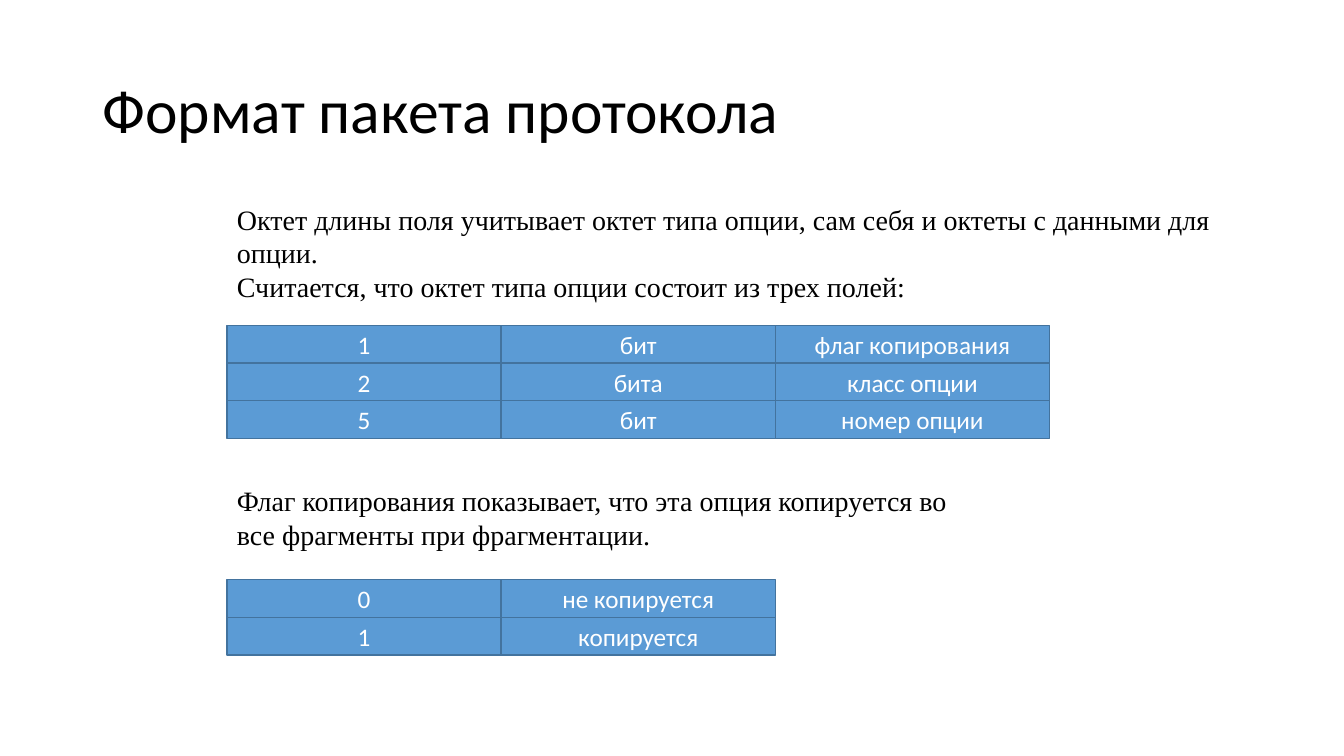
from pptx import Presentation
from pptx.dml.color import RGBColor
from pptx.enum.shapes import MSO_SHAPE as Shape
from pptx.enum.text import MSO_ANCHOR as Anchor, PP_ALIGN as Align
from pptx.util import Cm, Pt

BLACK = RGBColor(0x00, 0x00, 0x00)
WHITE = RGBColor(0xFF, 0xFF, 0xFF)
CELL_FILL = RGBColor(0x5B, 0x9B, 0xD5)
CELL_LINE = RGBColor(0x43, 0x73, 0x9E)

TITLE = "Формат пакета протокола"
LENGTH_NOTES = [
    "Октет длины поля учитывает октет типа опции, сам себя и октеты с данными для опции.",
    "Считается, что октет типа опции состоит из трех полей:",
]
COPY_NOTES = [
    "Флаг копирования показывает, что эта опция копируется во все фрагменты при фрагментации.",
]
OPTION_FIELDS = [
    ["1", "бит", "флаг копирования"],
    ["2", "бита", "класс опции"],
    ["5", "бит", "номер опции"],
]
COPY_VALUES = [
    ["0", "не копируется"],
    ["1", "копируется"],
]


def add_run(paragraph, text, size, font_name, color):
    """Append one formatted run to a paragraph."""
    run = paragraph.add_run()
    run.text = text
    run.font.size = Pt(size)
    run.font.name = font_name
    run.font.color.rgb = color


def add_text(slide, box, lines, size, font_name, anchor=Anchor.TOP):
    """Place a wrapped text box with one paragraph per line and return its frame."""
    frame = slide.shapes.add_textbox(*box).text_frame
    frame.word_wrap = True
    frame.vertical_anchor = anchor
    for index, line in enumerate(lines):
        paragraph = frame.paragraphs[0] if index == 0 else frame.add_paragraph()
        add_run(paragraph, line, size, font_name, BLACK)
    return frame


def add_title(slide, box):
    """Place the slide title in the given box."""
    frame = add_text(slide, box, [TITLE], 44, "Calibri", Anchor.MIDDLE)
    frame.paragraphs[0].line_spacing = 0.9


def add_field_grid(slide, box, rows):
    """Divide the given box into equal labelled rectangles."""
    left, top, width, height = box
    cell_width = width // len(rows[0])
    cell_height = height // len(rows)
    for row_index, row in enumerate(rows):
        for column_index, label in enumerate(row):
            shape = slide.shapes.add_shape(
                Shape.RECTANGLE,
                left + column_index * cell_width,
                top + row_index * cell_height,
                cell_width,
                cell_height,
            )
            shape.shadow.inherit = False
            shape.fill.solid()
            shape.fill.fore_color.rgb = CELL_FILL
            shape.line.color.rgb = CELL_LINE
            shape.line.width = Pt(1)
            shape.text_frame.vertical_anchor = Anchor.MIDDLE
            paragraph = shape.text_frame.paragraphs[0]
            paragraph.alignment = Align.CENTER
            add_run(paragraph, label, 18, "Calibri", WHITE)


def main():
    """Build the packet format slide and save it."""
    presentation = Presentation()
    presentation.slide_width = Cm(33.87)
    presentation.slide_height = Cm(19.05)
    slide = presentation.slides.add_slide(presentation.slide_layouts[6])

    left = Cm(5.72)
    add_title(slide, (Cm(2.33), Cm(1.01), Cm(29.21), Cm(3.68)))
    length_frame = add_text(
        slide, (left, Cm(5.38), Cm(27.23), Cm(2.82)), LENGTH_NOTES, 20, "Times New Roman", Anchor.MIDDLE
    )
    length_frame.margin_bottom = Cm(0.97)
    add_text(slide, (left, Cm(12.07), Cm(19.1), Cm(1.96)), COPY_NOTES, 20, "Times New Roman")
    add_field_grid(slide, (left, Cm(8.2), Cm(20.73), Cm(2.85)), OPTION_FIELDS)
    add_field_grid(slide, (left, Cm(14.61), Cm(13.82), Cm(1.9)), COPY_VALUES)

    presentation.save("out.pptx")


if __name__ == "__main__":
    main()
